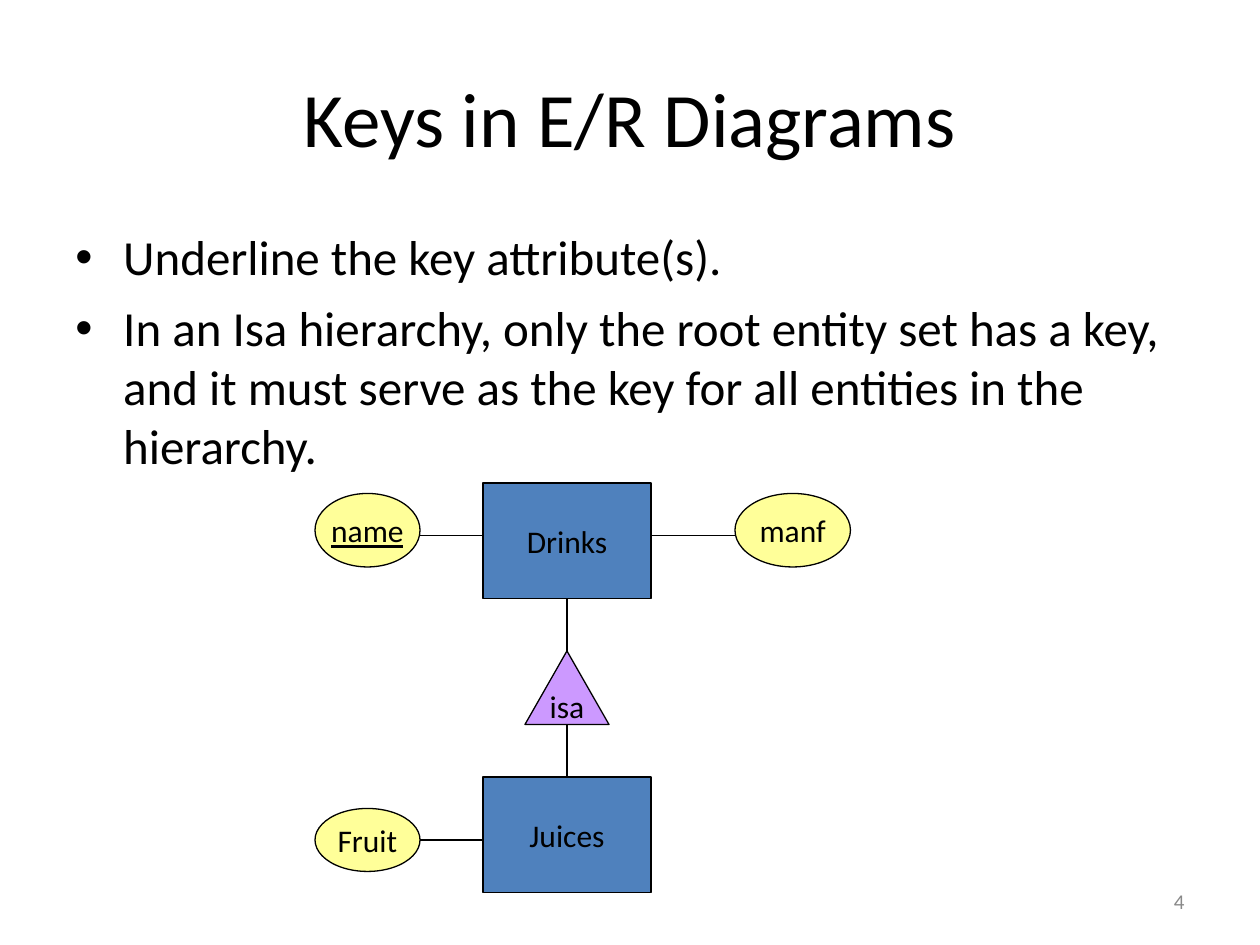
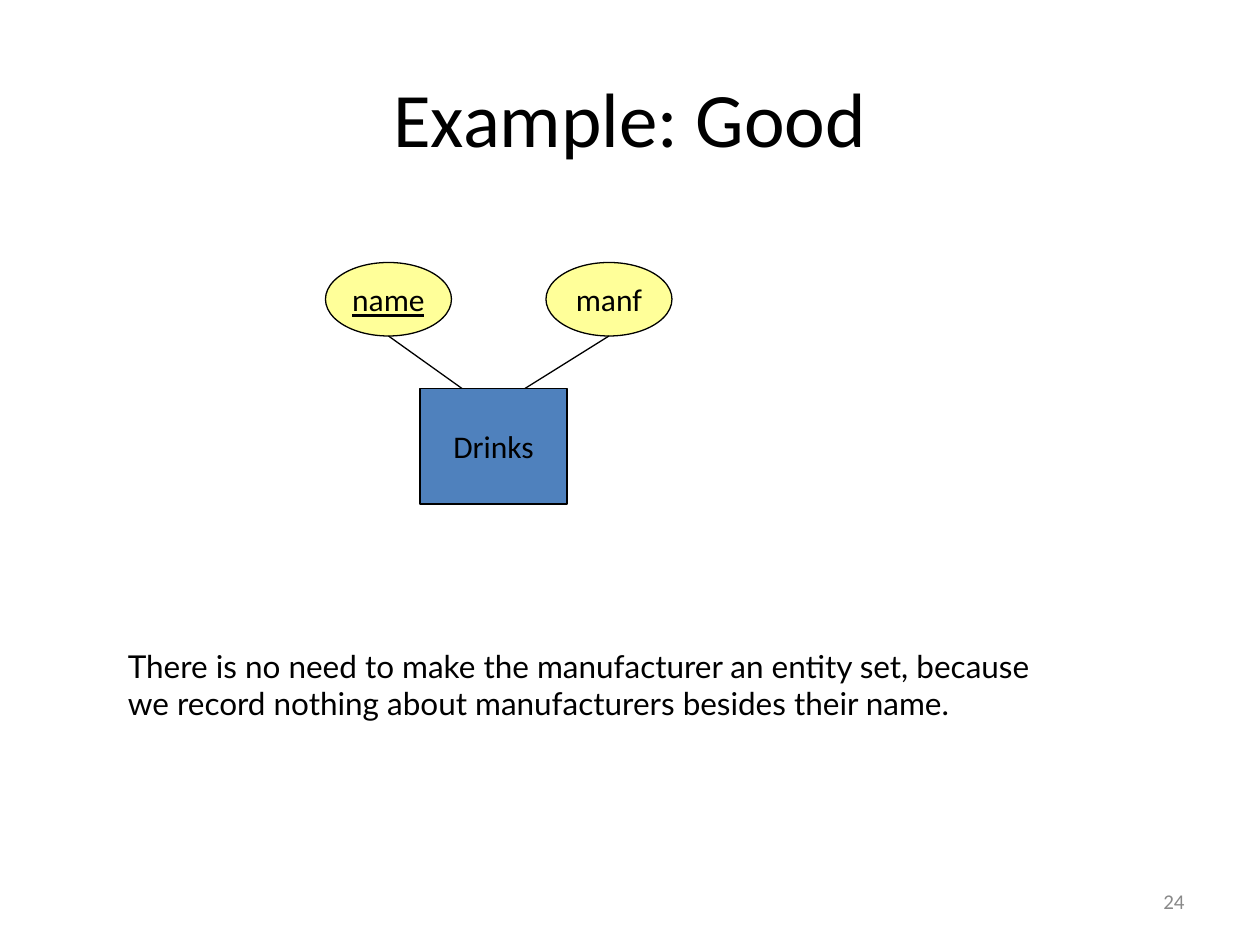
"""Builds two slides on keys and entity sets in E/R diagrams."""
from lxml import etree
from pptx import Presentation
from pptx.dml.color import RGBColor
from pptx.enum.shapes import MSO_CONNECTOR, MSO_SHAPE
from pptx.enum.text import MSO_ANCHOR, PP_ALIGN
from pptx.oxml.ns import qn
from pptx.util import Inches, Pt

LEFT, CENTER, RIGHT = PP_ALIGN.LEFT, PP_ALIGN.CENTER, PP_ALIGN.RIGHT
TOP, MIDDLE = MSO_ANCHOR.TOP, MSO_ANCHOR.MIDDLE
STRAIGHT = MSO_CONNECTOR.STRAIGHT

CELL = Inches(1) // 12
BLACK, GREY = "000000", "898989"
HEADING_FONT, NOTE_FONT = "Calibri", "Lato"
LINE_WIDTH = Pt(0.75)

KINDS = {
    "entity": (MSO_SHAPE.RECTANGLE, "4F81BD"),
    "attribute": (MSO_SHAPE.OVAL, "FFFF99"),
    "key": (MSO_SHAPE.OVAL, "FFFF99"),
    "isa": (MSO_SHAPE.ISOSCELES_TRIANGLE, "CC99FF"),
}

TITLE_AREA = (6, 3.6, 108, 15)
BODY_AREA = (6, 21, 108, 59.4)
NOTE_AREA = (11, 61, 90.25, 12)
NUMBER_AREA = (86, 83.4, 28, 4.8)

SLIDES = [
    {
        "title": "Keys in E/R Diagrams",
        "number": "4",
        "bullets": [
            "Underline the key attribute(s).",
            "In an Isa hierarchy, only the root entity set has a key, "
            "and it must serve as the key for all entities in the hierarchy.",
        ],
        "note": None,
        "nodes": [
            ("entity", "Drinks", (46, 46, 16, 11)),
            ("entity", "Juices", (46, 74, 16, 11)),
            ("isa", "isa", (50, 62, 8, 7)),
            ("key", "name", (30, 47, 10, 7)),
            ("attribute", "manf", (70, 47, 11, 7)),
            ("attribute", "Fruit", (30, 77, 10, 6)),
        ],
        "links": [
            (40, 51, 46, 51),
            (70, 51, 62, 51),
            (54, 62, 54, 57),
            (54, 69, 54, 74),
            (40, 80, 46, 80),
        ],
    },
    {
        "title": "Example: Good",
        "number": "24",
        "bullets": [],
        "note": "There is no need to make the manufacturer an entity set, because "
                "we record nothing about manufacturers besides their name.",
        "nodes": [
            ("entity", "Drinks", (40, 37, 14, 11)),
            ("key", "name", (31, 25, 12, 7)),
            ("attribute", "manf", (52, 25, 12, 7)),
        ],
        "links": [(37, 32, 44, 37), (58, 32, 50, 37)],
    },
]


def on_grid(cells):
    """Turn grid cells into slide lengths."""
    return [int(count * CELL) for count in cells]


def write(shape, lines, size, align=LEFT, anchor=TOP, font=HEADING_FONT,
          color=BLACK, wrap=True, bulleted=False, underline=None):
    """Fill a shape with evenly styled paragraphs."""
    frame = shape.text_frame
    frame.word_wrap = wrap
    frame.vertical_anchor = anchor
    frame.text = "\n".join(lines)
    for index, paragraph in enumerate(frame.paragraphs):
        paragraph.alignment = align
        if bulleted:
            properties = paragraph._p.get_or_add_pPr()
            properties.set("marL", str(Inches(0.38)))
            properties.set("indent", str(-Inches(0.38)))
            etree.SubElement(properties, qn("a:buFont")).set("typeface", "Arial")
            etree.SubElement(properties, qn("a:buChar")).set("char", "•")
            if index:
                paragraph.space_before = Pt(7)
        paragraph.font.name = font
        paragraph.font.size = Pt(size)
        paragraph.font.underline = underline
        paragraph.font.color.rgb = RGBColor.from_string(color)


deck = Presentation()
deck.slide_width, deck.slide_height = on_grid((120, 90))

for content in SLIDES:
    slide = deck.slides.add_slide(deck.slide_layouts[6])
    shapes = slide.shapes

    write(shapes.add_textbox(*on_grid(NUMBER_AREA)), [content["number"]], 12,
          RIGHT, MIDDLE, color=GREY)
    write(shapes.add_textbox(*on_grid(TITLE_AREA)), [content["title"]], 44,
          CENTER, MIDDLE)
    if content["bullets"]:
        write(shapes.add_textbox(*on_grid(BODY_AREA)), content["bullets"], 28,
              bulleted=True)
    if content["note"]:
        write(shapes.add_textbox(*on_grid(NOTE_AREA)), [content["note"]], 18,
              font=NOTE_FONT)

    for kind, label, area in content["nodes"]:
        outline, fill = KINDS[kind]
        node = shapes.add_shape(outline, *on_grid(area))
        node.shadow.inherit = False
        node.fill.solid()
        node.fill.fore_color.rgb = RGBColor.from_string(fill)
        node.line.color.rgb = RGBColor.from_string(BLACK)
        node.line.width = LINE_WIDTH
        write(node, [label], 18, CENTER, MIDDLE, wrap=False,
              underline=True if kind == "key" else None)

    for ends in content["links"]:
        link = shapes.add_connector(STRAIGHT, *on_grid(ends))
        link.line.color.rgb = RGBColor.from_string(BLACK)
        link.line.width = LINE_WIDTH
        etree.SubElement(link._element.spPr, qn("a:effectLst"))

deck.save("out.pptx")
